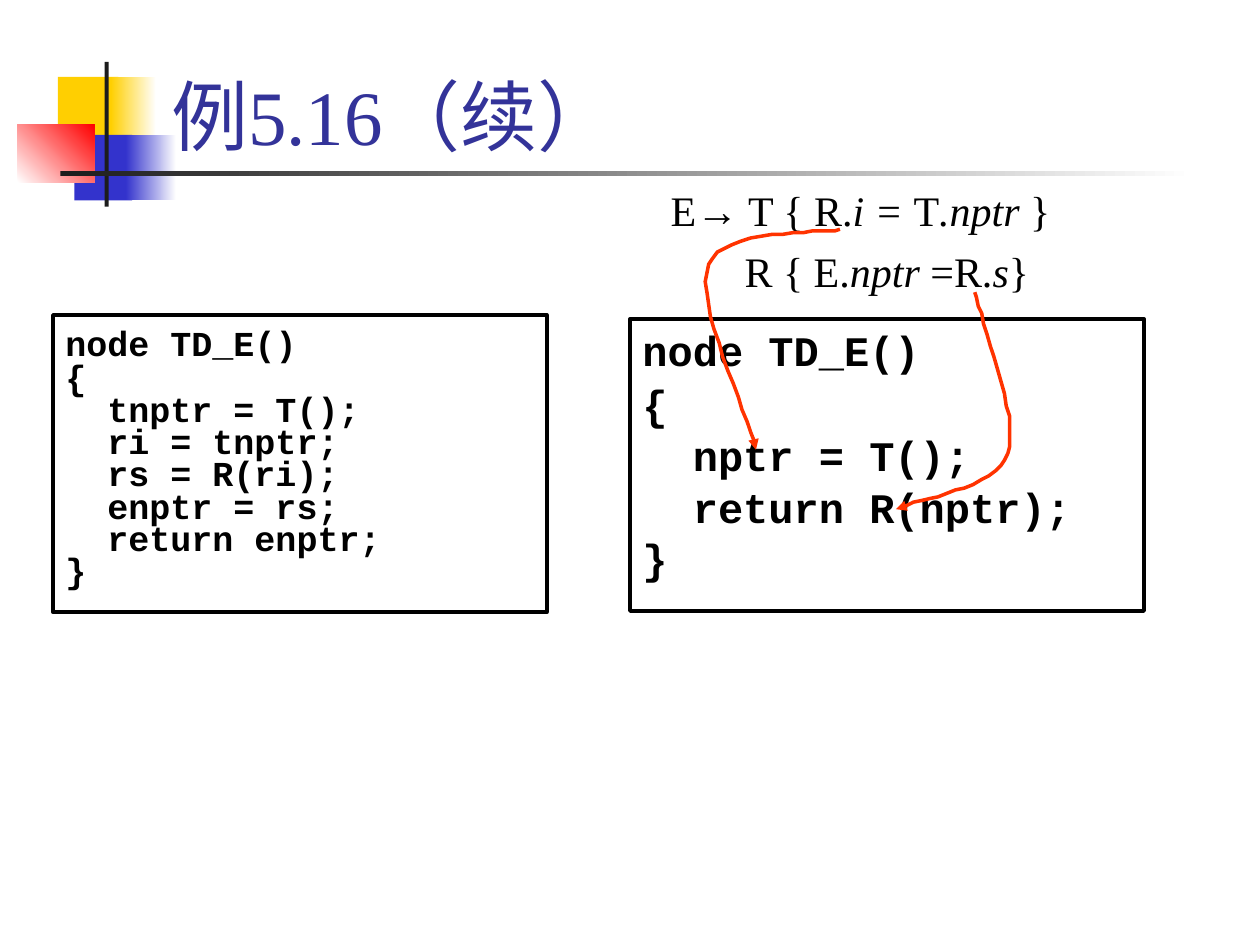
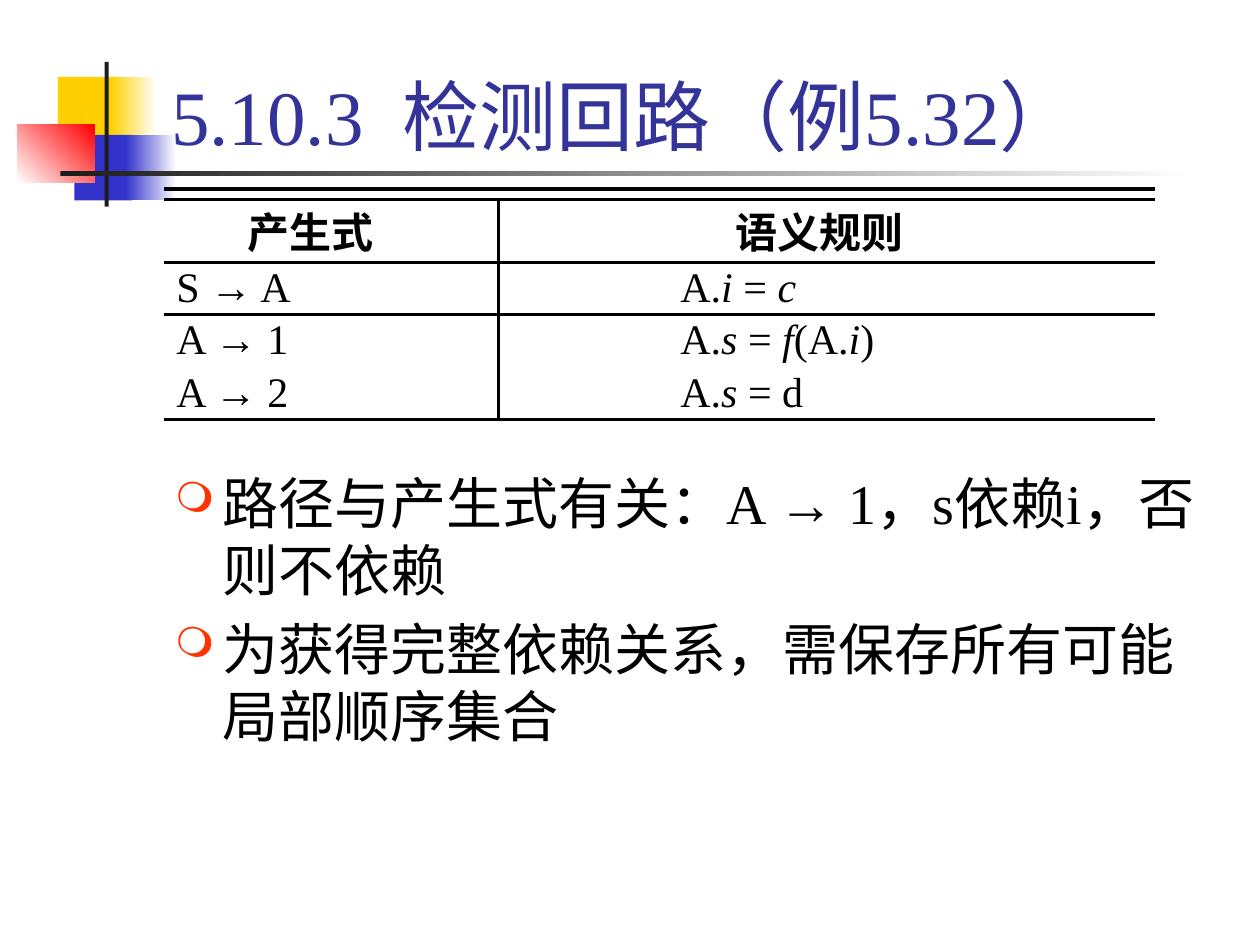
from lxml import etree
from pptx import Presentation
from pptx import util as u
from pptx.dml import color
from pptx.enum import shapes, text
from pptx.oxml import ns

SERIF, MONO = "Times New Roman", "Courier New"
BLACK, WHITE, TITLE, ACCENT = "000000", "FFFFFF", "333399", "FF3300"
GOLD, BLUE, RED, DARK = "FFCF01", "3333CC", "FF0000", "1C1C1C"
RULE_WIDTH = 2
NO_STYLE = "{2D5ABB26-0587-4C30-8999-92F81FD0307C}"

MASTER_BLOCKS = [
    ((33.12, 43.92, 34.56, 37.44), [GOLD], 0),
    ((63.36, 43.92, 25.92, 37.44), [GOLD, WHITE], 0),
    ((42.48, 77.04, 33.12, 37.44), [BLUE], 0),
    ((72, 77.04, 28.8, 37.44), [BLUE, WHITE], 0),
    ((10.08, 71.28, 43.92, 33.12), [WHITE, RED], 45),
    ((59.76, 35.28, 2.4, 82.8), [DARK], 0),
    ((34.56, 97.92, 648, 2.4), [DARK, WHITE], 0),
]
TITLE_BOX = (90.72, 5.76, 613.44, 90)

EXAMPLE_TITLE = "例5.16（续）"
FULL_CODE = {
    "box": (30.24, 180, 282.24, 169.92), "size": 20, "before": 20,
    "body": ["tnptr = T();", "ri = tnptr;", "rs = R(ri);", "enptr = rs;", "return enptr;"],
}
SHORT_CODE = {
    "box": (360, 182.16, 293.76, 167.04), "size": 24, "before": 50,
    "body": ["nptr = T();", "return R(nptr);"],
}
SCHEME_BOX = (311.76, 108, 360, 66.96)
SCHEME = [("E→ T { R.*i = *T*.nptr* }", 0), ("R { E.*nptr* =R.*s*}", 30)]
ARROWS = [
    [(480.24, 131.04), (467.28, 133.92), (413.28, 130.32), (404.64, 151.2),
     (396.72, 172.8), (426.24, 234.72), (432, 257.04)],
    [(557.28, 167.04), (560.16, 182.16), (583.2, 239.04), (576, 259.2),
     (568.8, 280.08), (525.6, 284.4), (511.92, 290.88)],
]

LOOP_TITLE = "5.10.3  检测回路（例5.32）"
RULES = [
    ("产生式", "语义规则"),
    ("S → A", "A.*i* = *c*"),
    ("A → 1", "A.*s* = *f*(A.*i*)"),
    ("A → 2", "A.*s* = d"),
]
TABLE_LEFT, TABLE_TOP, TOP_RULE = 93.6, 113.76, 108
COLUMN_WIDTHS, ROW_HEIGHTS = (191.52, 375.12), (36, 30, 30, 30)
HEADER_MARGINS, BODY_MARGINS = ((0, 24), (0, 9)), ((7.2, 0), (103.7, 0))
NOTES_BOX = (92.88, 264.24, 612, 216)
NOTES = ["路径与产生式有关：A → 1，s依赖i，否则不依赖",
         "为获得完整依赖关系，需保存所有可能局部顺序集合"]


def rgb(value):
    return color.RGBColor.from_string(value)


def points(values):
    return [u.Pt(value) for value in values]


def child(parent, tag, **attributes):
    return etree.SubElement(parent, ns.qn(tag), attributes)


def add_block(page, box, colours, angle):
    block = page.shapes.add_shape(shapes.MSO_SHAPE.RECTANGLE, *points(box))
    block.shadow.inherit = False
    block.line.fill.background()
    if len(colours) == 1:
        block.fill.solid()
        block.fill.fore_color.rgb = rgb(colours[0])
        return
    block.fill.gradient()
    block.fill.gradient_angle = angle
    for position, (stop, colour) in enumerate(zip(block.fill.gradient_stops, colours)):
        stop.position = position
        stop.color.rgb = rgb(colour)


def write_para(para, content, size, font=SERIF, colour=BLACK, bold=False, align="LEFT",
               spacing=None, before=None, indent=0, bullet=None):
    para.alignment = getattr(text.PP_ALIGN, align)
    properties = para._p.get_or_add_pPr()
    if spacing:
        para.line_spacing = spacing
    if before:
        para.space_before = u.Pt(0)
        gap = properties.find(ns.qn("a:spcBef"))
        gap.remove(gap[0])
        child(gap, "a:spcPct", val=str(before * 1000))
    if indent:
        properties.set("marL", str(u.Pt(indent)))
    if bullet:
        properties.set("indent", str(-u.Pt(indent)))
        child(child(properties, "a:buClr"), "a:srgbClr", val=ACCENT)
        child(properties, "a:buSzPct", val="75000")
        child(properties, "a:buChar", char=bullet)
    para.font.name, para.font.size, para.font.bold = font, u.Pt(size), bold
    para.font.color.rgb = rgb(colour)
    for index, piece in enumerate(content.split("*")):
        if piece:
            span = para.add_run()
            span.text = piece
            if index % 2:
                span.font.italic = True


def write_frame(frame, lines, anchor="TOP", grow=False):
    frame.word_wrap = True
    frame.vertical_anchor = getattr(text.MSO_ANCHOR, anchor)
    frame.auto_size = text.MSO_AUTO_SIZE.SHAPE_TO_FIT_TEXT if grow else text.MSO_AUTO_SIZE.NONE
    for index, line in enumerate(lines):
        para = frame.add_paragraph() if index else frame.paragraphs[0]
        write_para(para, **line)


def add_text(page, box, lines, **options):
    write_frame(page.shapes.add_textbox(*points(box)).text_frame, lines, **options)


def add_page(deck, title):
    page = deck.slides.add_slide(deck.slide_layouts[6])
    for block in MASTER_BLOCKS:
        add_block(page, *block)
    add_text(page, TITLE_BOX, [dict(content=title, size=44, colour=TITLE)], anchor="BOTTOM")
    return page


def add_code(page, code):
    box = page.shapes.add_shape(shapes.MSO_SHAPE.RECTANGLE, *points(code["box"]))
    box.shadow.inherit = False
    box.fill.background()
    box.line.color.rgb = rgb(BLACK)
    box.line.width = u.Pt(RULE_WIDTH)
    two_letters = 1.2 * code["size"]
    rows = [("node TD_E()", 0), ("{", 0)]
    rows += [(row, two_letters) for row in code["body"]] + [("}", 0)]
    write_frame(box.text_frame, [
        dict(content=row, size=code["size"], font=MONO, bold=True, indent=indent,
             before=code["before"], spacing=0.6 if index else None)
        for index, (row, indent) in enumerate(rows)], grow=True)


def curve_points(knots, steps=16):
    for start in range(0, len(knots) - 1, 3):
        a, b, c, d = knots[start:start + 4]
        for step in range(1, steps + 1):
            t = step / steps
            s = 1 - t
            yield tuple(s**3 * p + 3 * s * s * t * q + 3 * s * t * t * r + t**3 * e
                        for p, q, r, e in zip(a, b, c, d))


def add_arrow(page, knots):
    builder = page.shapes.build_freeform(*knots[0], scale=u.Pt(1))
    builder.add_line_segments(list(curve_points(knots)), close=False)
    arrow = builder.convert_to_shape()
    arrow.shadow.inherit = False
    arrow.fill.background()
    arrow.line.color.rgb = rgb(ACCENT)
    arrow.line.width = u.Pt(RULE_WIDTH)
    child(arrow.line._get_or_add_ln(), "a:tailEnd", type="triangle")


def add_rule(page, left, right, y):
    rule = page.shapes.add_connector(shapes.MSO_CONNECTOR.STRAIGHT, *points((left, y, right, y)))
    rule.line.color.rgb = rgb(BLACK)
    rule.line.width = u.Pt(RULE_WIDTH)
    child(rule._element.spPr, "a:effectLst")


def set_borders(cell, sides):
    properties = cell._tc.get_or_add_tcPr()
    for index, side in enumerate(sides):
        border = child(properties, f"a:ln{side}", w=str(u.Pt(RULE_WIDTH)))
        child(child(border, "a:solidFill"), "a:srgbClr", val=BLACK)
        properties.insert(index, border)


def add_rules_table(page):
    box = (TABLE_LEFT, TABLE_TOP, sum(COLUMN_WIDTHS), sum(ROW_HEIGHTS))
    frame = page.shapes.add_table(len(RULES), len(COLUMN_WIDTHS), *points(box))
    table = frame.table
    table.first_row = table.horz_banding = False
    table._tbl.tblPr.find(ns.qn("a:tableStyleId")).text = NO_STYLE
    for column, width in zip(table.columns, COLUMN_WIDTHS):
        column.width = u.Pt(width)
    for y, (row, height) in enumerate(zip(table.rows, ROW_HEIGHTS)):
        row.height = u.Pt(height)
        header = y == 0
        for x, cell in enumerate(row.cells):
            margins = (HEADER_MARGINS if header else BODY_MARGINS)[x]
            cell.margin_left, cell.margin_right = points(margins)
            cell.margin_top = cell.margin_bottom = 0
            cell.vertical_anchor = text.MSO_ANCHOR.MIDDLE
            cell.fill.background()
            sides = ["L" if x else "R"]
            sides += ["T"] if y < 2 else []
            sides += ["B"] if y in (0, len(RULES) - 1) else []
            set_borders(cell, sides)
            write_para(cell.text_frame.paragraphs[0], RULES[y][x], 24, bold=header,
                       align="CENTER" if header else "LEFT")


def main():
    deck = Presentation()
    deck.slide_width, deck.slide_height = points((720, 540))

    page = add_page(deck, EXAMPLE_TITLE)
    add_code(page, SHORT_CODE)
    add_text(page, SCHEME_BOX, [
        dict(content=content, size=24, align="CENTER", spacing=0.79, before=50, indent=indent)
        for content, indent in SCHEME], grow=True)
    for knots in ARROWS:
        add_arrow(page, knots)
    add_code(page, FULL_CODE)

    page = add_page(deck, LOOP_TITLE)
    add_text(page, NOTES_BOX, [
        dict(content=note, size=32, before=20, indent=27, bullet="❍") for note in NOTES])
    add_rule(page, TABLE_LEFT, TABLE_LEFT + sum(COLUMN_WIDTHS), TOP_RULE)
    add_rules_table(page)

    deck.save("out.pptx")


if __name__ == "__main__":
    main()
